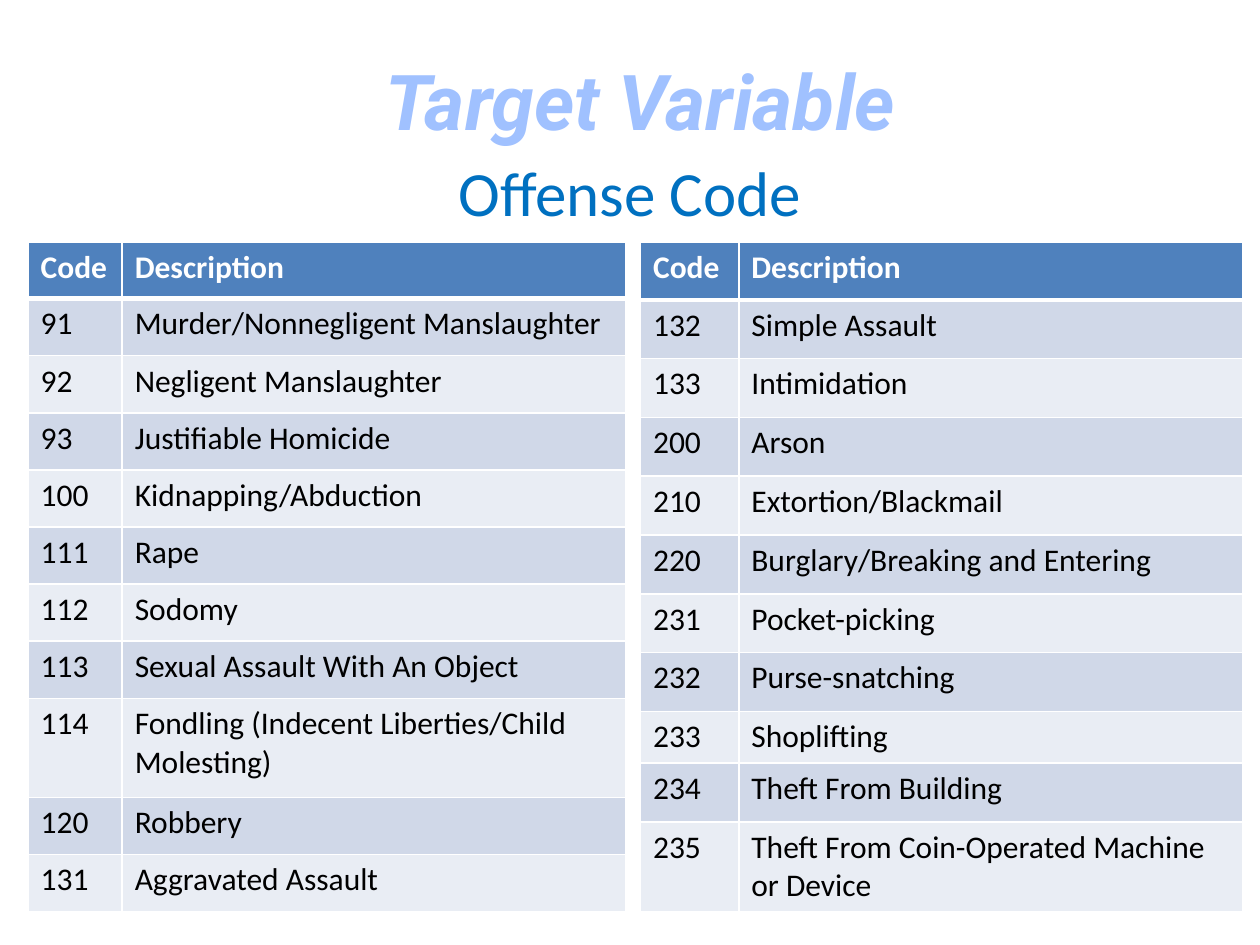
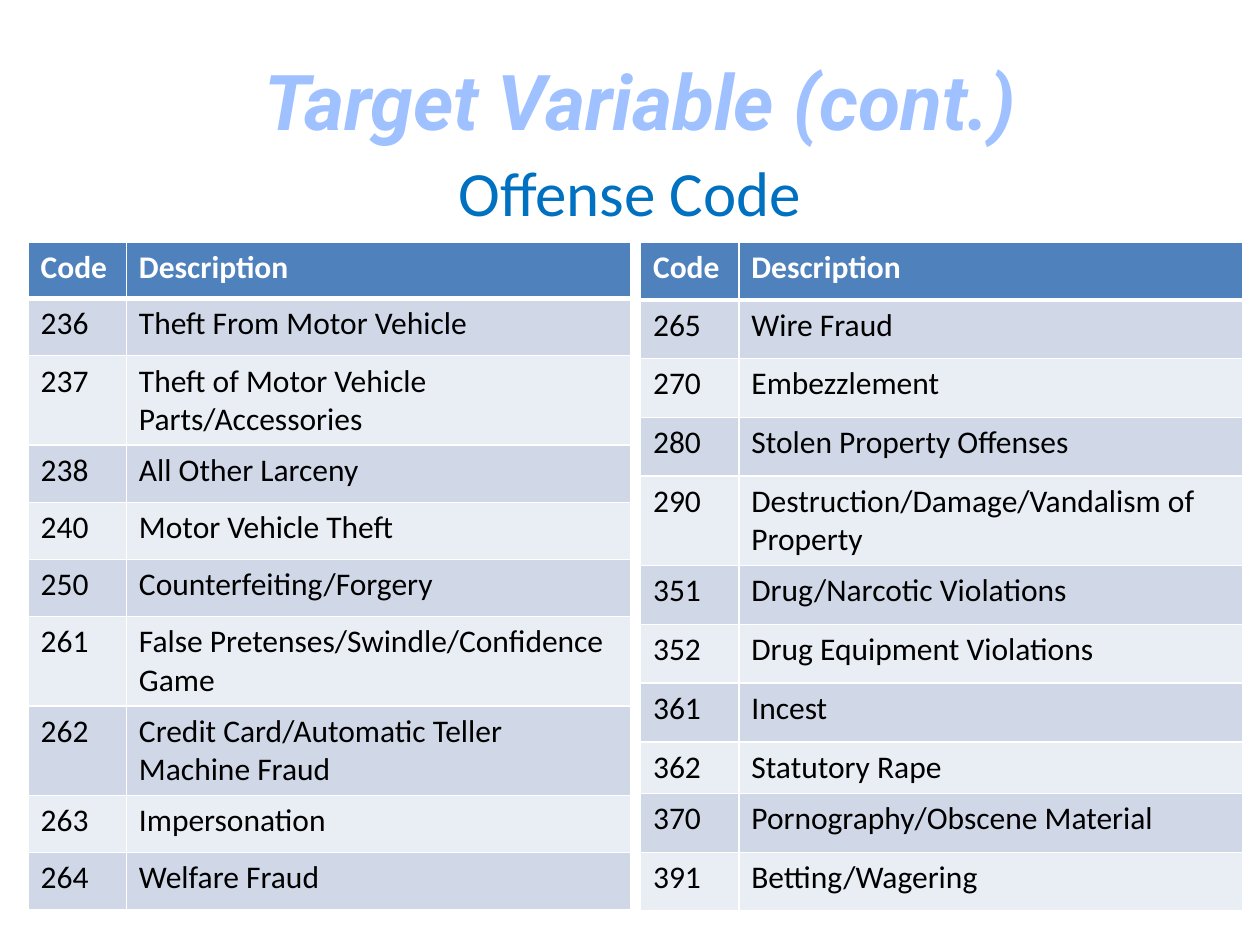
"""Build two slides of offense code tables."""
from dataclasses import dataclass, field
from typing import Any

from lxml.etree import SubElement
from pptx import Presentation
from pptx.dml.color import RGBColor as RGB
from pptx.enum.text import MSO_ANCHOR as Anchor, PP_ALIGN as Align
from pptx.oxml import parse_xml
from pptx.oxml.ns import nsdecls, qn
from pptx.util import Pt

EMU_PER_PX = 3048
SLIDE_W, SLIDE_H = 3000, 2250
TABLE_TOP = 576
LEFT_X, RIGHT_X = 67, 1525
DESCRIPTION_W = 1200

WHITE = RGB(0xFF, 0xFF, 0xFF)
BLACK = RGB(0x00, 0x00, 0x00)
HEADER_BLUE = RGB(0x4F, 0x81, 0xBD)
BAND_DARK = RGB(0xD0, 0xD8, 0xE8)
BAND_LIGHT = RGB(0xE9, 0xED, 0xF4)
SUBTITLE_BLUE = RGB(0x00, 0x70, 0xC0)
TITLE_OUTLINE = RGB(0x46, 0x7A, 0xB8)
TITLE_PALE = RGB(0xBF, 0xD3, 0xF9)
TITLE_LIGHT = RGB(0xA0, 0xC1, 0xFF)
TITLE_DEEP = RGB(0x00, 0x3D, 0x85)
TITLE_STOPS = ((0, TITLE_PALE), (9, TITLE_LIGHT), (50, TITLE_DEEP),
               (79, TITLE_LIGHT), (100, TITLE_PALE))

TITLE_FONT = {"name": "Roboto", "size": Pt(44), "bold": True, "italic": True}
SUBTITLE_FONT = {"name": "Calibri", "size": Pt(36)}
HEADER_FONT = {"name": "Calibri", "size": Pt(18), "bold": True}
BODY_FONT = {**HEADER_FONT, "bold": False}


@dataclass(frozen=True)
class CodeTable:
    """Place, row sizes and rows of one code table."""
    x: int
    code_w: int
    header_h: int
    row_h: int
    rows: tuple[tuple[str, str], ...]
    special_h: dict[str, int] = field(default_factory=dict)


@dataclass(frozen=True)
class CodeSlide:
    """Title and tables of one slide."""
    title: str
    tables: tuple[CodeTable, ...]


SLIDES = (
    CodeSlide("Target Variable", (
        CodeTable(LEFT_X, 224, 135, 136, (
            ("91", "Murder/Nonnegligent Manslaughter"),
            ("92", "Negligent Manslaughter"),
            ("93", "Justifiable Homicide"),
            ("100", "Kidnapping/Abduction"),
            ("111", "Rape"),
            ("112", "Sodomy"),
            ("113", "Sexual Assault With An Object"),
            ("114", "Fondling (Indecent Liberties/Child Molesting)"),
            ("120", "Robbery"),
            ("131", "Aggravated Assault"),
        ), {"114": 236}),
        CodeTable(RIGHT_X, 234, 138, 140, (
            ("132", "Simple Assault"),
            ("133", "Intimidation"),
            ("200", "Arson"),
            ("210", "Extortion/Blackmail"),
            ("220", "Burglary/Breaking and Entering"),
            ("231", "Pocket-picking"),
            ("232", "Purse-snatching"),
            ("233", "Shoplifting"),
            ("234", "Theft From Building"),
            ("235", "Theft From Coin-Operated Machine or Device"),
        ), {"233": 123, "235": 214}),
    )),
    CodeSlide("Target Variable (cont.)", (
        CodeTable(LEFT_X, 234, 135, 136, (
            ("236", "Theft From Motor Vehicle"),
            ("237", "Theft of Motor Vehicle Parts/Accessories"),
            ("238", "All Other Larceny"),
            ("240", "Motor Vehicle Theft"),
            ("250", "Counterfeiting/Forgery"),
            ("261", "False Pretenses/Swindle/Confidence Game"),
            ("262", "Credit Card/Automatic Teller Machine Fraud"),
            ("263", "Impersonation"),
            ("264", "Welfare Fraud"),
        ), {"237": 213, "261": 213, "262": 213}),
        CodeTable(RIGHT_X, 234, 138, 140, (
            ("265", "Wire Fraud"),
            ("270", "Embezzlement"),
            ("280", "Stolen Property Offenses"),
            ("290", "Destruction/Damage/Vandalism of Property"),
            ("351", "Drug/Narcotic Violations"),
            ("352", "Drug Equipment Violations"),
            ("361", "Incest"),
            ("362", "Statutory Rape"),
            ("370", "Pornography/Obscene Material"),
            ("391", "Betting/Wagering"),
        ), {"290": 213, "362": 123}),
    )),
)


def px(n: int) -> int:
    """Turn px into EMU."""
    return n * EMU_PER_PX


def set_all(obj: Any, values: dict[str, Any]) -> None:
    """Set every attribute named in values."""
    for name, value in values.items():
        setattr(obj, name, value)


def write(tf: Any, text: str, fmt: dict[str, Any], color: RGB | None = None) -> Any:
    """Write one formatted run and return its paragraph."""
    p = tf.paragraphs[0]
    r = p.add_run()
    r.text = text
    set_all(r.font, fmt)
    if color is not None:
        r.font.color.rgb = color
    return p


def add_title(s: Any, text: str) -> None:
    """Place the title with its gradient fill and outline."""
    sp = s.shapes.title
    set_all(sp, {"left": px(250), "top": px(75), "width": px(2550), "height": px(327)})
    tf = sp.text_frame
    tf.vertical_anchor = Anchor.MIDDLE
    p = write(tf, text, TITLE_FONT)
    p.alignment = Align.CENTER
    stops = "".join(f'<a:gs pos="{pos * 1000}"><a:srgbClr val="{color}"/></a:gs>'
                    for pos, color in TITLE_STOPS)
    outline = parse_xml(f'<a:ln {nsdecls("a")} w="10541"><a:solidFill>'
                        f'<a:srgbClr val="{TITLE_OUTLINE}"/></a:solidFill></a:ln>')
    gradient = parse_xml(f'<a:gradFill {nsdecls("a")}><a:gsLst>{stops}</a:gsLst>'
                         '<a:lin ang="5400000" scaled="0"/></a:gradFill>')
    rpr = p.runs[0].font._element
    rpr.insert(0, outline)
    rpr.insert(1, gradient)


def add_subtitle(s: Any, text: str) -> None:
    """Add the centred line under the title."""
    sp = s.shapes.add_textbox(px(450), px(351), px(2100), px(249))
    sp.text_frame.word_wrap = True
    write(sp.text_frame, text, SUBTITLE_FONT, SUBTITLE_BLUE).alignment = Align.CENTER


def set_borders(cell: Any, top: int, bottom: int) -> None:
    """Give a cell white borders, with top and bottom widths in points."""
    tcpr = cell._tc.get_or_add_tcPr()
    for side, width in (("L", 1), ("R", 1), ("T", top), ("B", bottom)):
        ln = SubElement(tcpr, qn(f"a:ln{side}"), w=str(Pt(width)))
        fill = SubElement(ln, qn("a:solidFill"))
        SubElement(fill, qn("a:srgbClr"), val=str(WHITE))


def add_code_table(s: Any, t: CodeTable) -> None:
    """Add one banded table of codes and descriptions."""
    rows = (("Code", "Description"), *t.rows)
    heights = [t.header_h, *(t.special_h.get(code, t.row_h) for code, _ in t.rows)]
    widths = (t.code_w, DESCRIPTION_W)
    tbl = s.shapes.add_table(len(rows), len(widths), px(t.x), px(TABLE_TOP),
                             px(sum(widths)), px(sum(heights))).table
    for col, width in zip(tbl.columns, widths):
        col.width = px(width)
    for i, (texts, height) in enumerate(zip(rows, heights)):
        tbl.rows[i].height = px(height)
        header = i == 0
        band = HEADER_BLUE if header else BAND_DARK if i % 2 else BAND_LIGHT
        for cell, text in zip(tbl.rows[i].cells, texts):
            set_borders(cell, 3 if i == 1 else 1, 3 if header else 1)
            cell.fill.solid()
            cell.fill.fore_color.rgb = band
            write(cell.text_frame, text, HEADER_FONT if header else BODY_FONT,
                  WHITE if header else BLACK)


def main() -> None:
    """Build and save the slides."""
    prs = Presentation()
    set_all(prs, {"slide_width": px(SLIDE_W), "slide_height": px(SLIDE_H)})
    for content in SLIDES:
        s = prs.slides.add_slide(prs.slide_layouts[5])
        add_title(s, content.title)
        add_subtitle(s, "Offense Code")
        for table in content.tables:
            add_code_table(s, table)
    prs.save("out.pptx")


if __name__ == "__main__":
    main()
